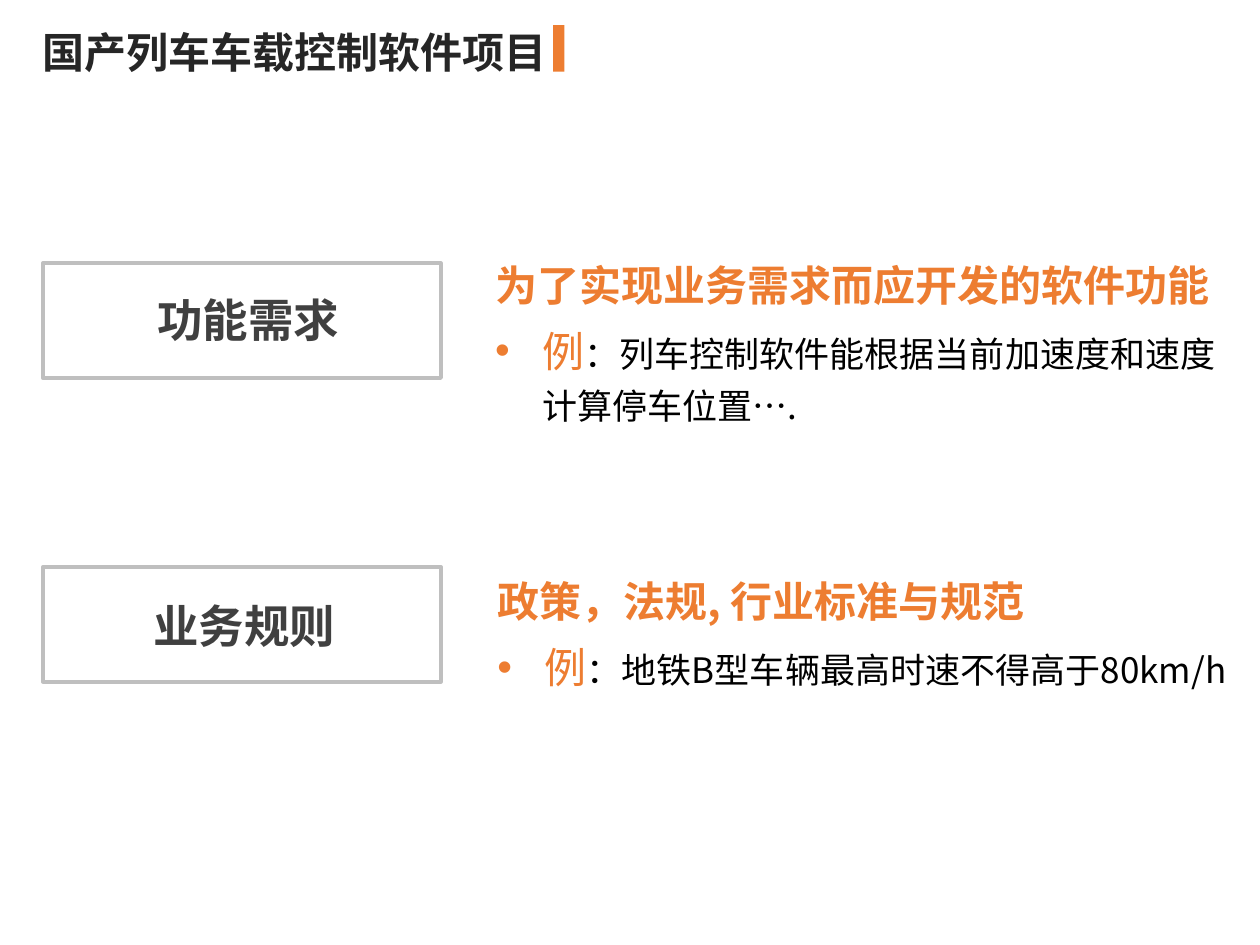
from lxml.etree import SubElement
from pptx import Presentation
from pptx.dml.color import RGBColor
from pptx.enum.shapes import MSO_SHAPE as Shape
from pptx.enum.text import MSO_ANCHOR as Anchor, MSO_AUTO_SIZE as Fit, PP_ALIGN as Align
from pptx.oxml.ns import qn
from pptx.util import Pt

FACE = "Noto Sans CJK SC"
ORANGE = "ED7D31"
ROWS = [
    ("功能需求", (82.1, 167), 150.5, (275.8, 139, 426.2, 109.4),
     "为了实现业务需求而应开发的软件功能",
     "：列车控制软件能根据当前加速度和速度计算停车位置…."),
    ("业务规则", (79.9, 342), 324, (277.2, 319.7, 434.2, 79.9),
     "政策，法规, 行业标准与规范",
     "：地铁B型车辆最高时速不得高于80km/h"),
]


def paint(color, code):
    color.rgb = RGBColor.from_string(code)


def apply(item, style):
    for key, value in style.items():
        setattr(item, key, value)


def write(para, text, size, code, bold=False):
    run = para.add_run()
    run.text = text
    apply(run.font, {"size": Pt(size), "bold": bold, "name": FACE})
    paint(run.font.color, code)
    SubElement(run.font._element, qn("a:ea"), typeface=FACE)


def add_box(slide, area, wrap):
    frame = slide.shapes.add_textbox(*map(Pt, area)).text_frame
    apply(frame, {"word_wrap": wrap, "auto_size": Fit.SHAPE_TO_FIT_TEXT})
    return frame


def add_rect(slide, area, fill=None, edge=None):
    rect = slide.shapes.add_shape(Shape.RECTANGLE, *map(Pt, area))
    rect.shadow.inherit = False
    if fill:
        rect.fill.solid()
        paint(rect.fill.fore_color, fill)
    else:
        rect.fill.background()
    if edge:
        paint(rect.line.color, edge)
        rect.line.width = Pt(2.25)
    else:
        rect.line.fill.background()


def add_title(slide, text):
    title = slide.shapes.title
    area = {"left": 17.3, "top": 11.5, "width": 305.3, "height": 36}
    apply(title, {key: Pt(value) for key, value in area.items()})
    frame = title.text_frame
    apply(frame, {"word_wrap": False, "vertical_anchor": Anchor.TOP,
                  "auto_size": Fit.SHAPE_TO_FIT_TEXT})
    para = frame.paragraphs[0]
    para.alignment = Align.LEFT
    write(para, text, 24, "262626", True)


def add_label(slide, spot, text):
    para = add_box(slide, (*spot, 119.5, 35.3), False).paragraphs[0]
    apply(para, {"alignment": Align.CENTER, "line_spacing": 0.9})
    write(para, text, 26, "404040", True)


def add_note(slide, area, head, body):
    frame = add_box(slide, area, True)
    first = frame.paragraphs[0]
    first.line_spacing = 1.2
    write(first, head, 24, ORANGE, True)
    item = frame.add_paragraph()
    apply(item, {"line_spacing": 1.2, "space_before": Pt(3)})
    props = item._p.get_or_add_pPr()
    props.set("marL", str(Pt(27)))
    props.set("indent", str(-Pt(27)))
    SubElement(props, qn("a:buFont"), typeface="Arial")
    SubElement(props, qn("a:buChar"), char="•")
    write(item, "例", 24, ORANGE)
    write(item, body, 20, "000000")


def main():
    deck = Presentation()
    apply(deck, {"slide_width": Pt(720), "slide_height": Pt(540)})
    slide = deck.slides.add_slide(deck.slide_layouts[5])
    add_title(slide, "国产列车车载控制软件项目")
    add_rect(slide, (316.1, 14.4, 6.5, 26.6), fill=ORANGE)
    for name, spot, top, area, head, body in ROWS:
        add_rect(slide, (24.5, top, 227.5, 65.5), edge="BFBFBF")
        add_label(slide, spot, name)
        add_note(slide, area, head, body)
    deck.save("out.pptx")


if __name__ == "__main__":
    main()
